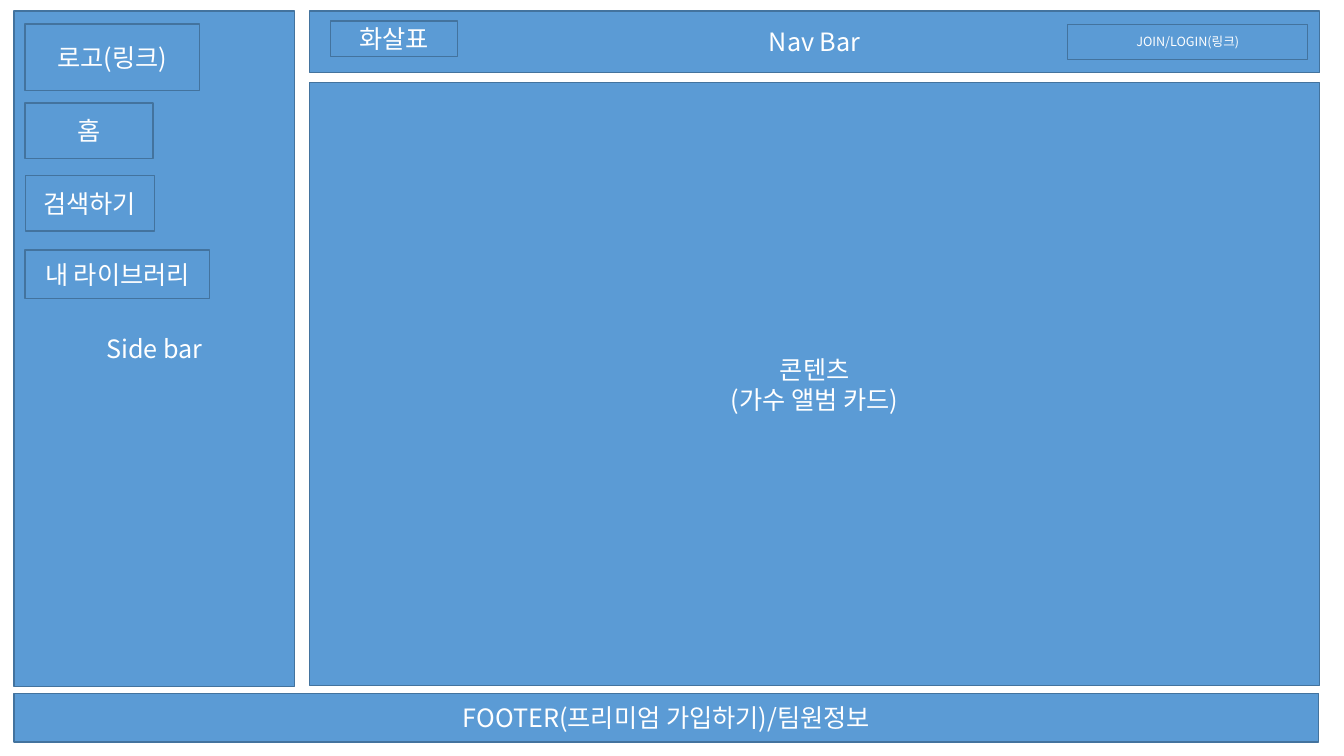
from dataclasses import dataclass

from lxml.etree import SubElement
from pptx import Presentation
from pptx.dml.color import RGBColor as Rgb
from pptx.enum.shapes import MSO_SHAPE as Shape
from pptx.enum.text import MSO_ANCHOR as Anchor, PP_ALIGN as Align
from pptx.oxml.ns import qn
from pptx.util import Inches, Pt


@dataclass(frozen=True)
class Theme:
    """Colours, font and type sizes of the wireframe."""
    fill: Rgb = Rgb(0x5B, 0x9B, 0xD5)
    outline: Rgb = Rgb(0x43, 0x73, 0x9E)
    text: Rgb = Rgb(0xFF, 0xFF, 0xFF)
    font: str = "Noto Sans CJK KR"
    body: int = 18
    small: int = 9
    line: int = 1


class Wireframe:
    """Draws page regions on one slide in one style."""

    def __init__(self, slide, theme):
        """Keep the slide and its theme."""
        self.slide = slide
        self.theme = theme

    def box(self, label, left, top, width, height, size=None):
        """Add a labelled rectangle, measured in inches."""
        theme = self.theme
        region = self.slide.shapes.add_shape(
            Shape.RECTANGLE, *map(Inches, (left, top, width, height)))
        region.shadow.inherit = False
        region.fill.solid()
        region.fill.fore_color.rgb = theme.fill
        region.line.color.rgb = theme.outline
        region.line.width = Pt(theme.line)
        frame = region.text_frame
        frame.text = label
        frame.word_wrap = True
        frame.vertical_anchor = Anchor.MIDDLE
        for paragraph in frame.paragraphs:
            paragraph.alignment = Align.CENTER
            for run in paragraph.runs:
                self.style(run, size or theme.body)

    def style(self, run, size):
        """Set size, colour and both the Latin and Korean fonts of a run."""
        run.font.size = Pt(size)
        run.font.color.rgb = self.theme.text
        run.font.name = self.theme.font
        east_asian = SubElement(run.font._element, qn("a:ea"))
        east_asian.set("typeface", self.theme.font)


SLIDE_WIDTH, SLIDE_HEIGHT = 13.33, 7.5
PAGE_LEFT, PAGE_TOP = 0.14, 0.11
MAIN_LEFT, MAIN_WIDTH = 3.07, 10.02
MENU_LEFT = 0.25

deck = Presentation()
deck.slide_width = Inches(SLIDE_WIDTH)
deck.slide_height = Inches(SLIDE_HEIGHT)
theme = Theme()
page = Wireframe(deck.slides.add_slide(deck.slide_layouts[6]), theme)

page.box("Side bar", PAGE_LEFT, PAGE_TOP, 2.78, 6.7)
page.box("Nav Bar", MAIN_LEFT, PAGE_TOP, MAIN_WIDTH, 0.61)
page.box("화살표", 3.28, 0.21, 1.26, 0.35)
page.box("JOIN/LOGIN(링크)", 10.59, 0.24, 2.38, 0.35, theme.small)
page.box("콘텐츠\n(가수 앨범 카드)", MAIN_LEFT, 0.82, MAIN_WIDTH, 5.98)
page.box("FOOTER(프리미엄 가입하기)/팀원정보", PAGE_LEFT, 6.88, 12.94, 0.48)

side_menu = [
    ("로고(링크)", 0.24, 1.73, 0.66),
    ("홈", 1.02, 1.27, 0.55),
    ("검색하기", 1.74, 1.28, 0.55),
    ("내 라이브러리", 2.48, 1.83, 0.48),
]
for label, top, width, height in side_menu:
    page.box(label, MENU_LEFT, top, width, height)

deck.save("out.pptx")
